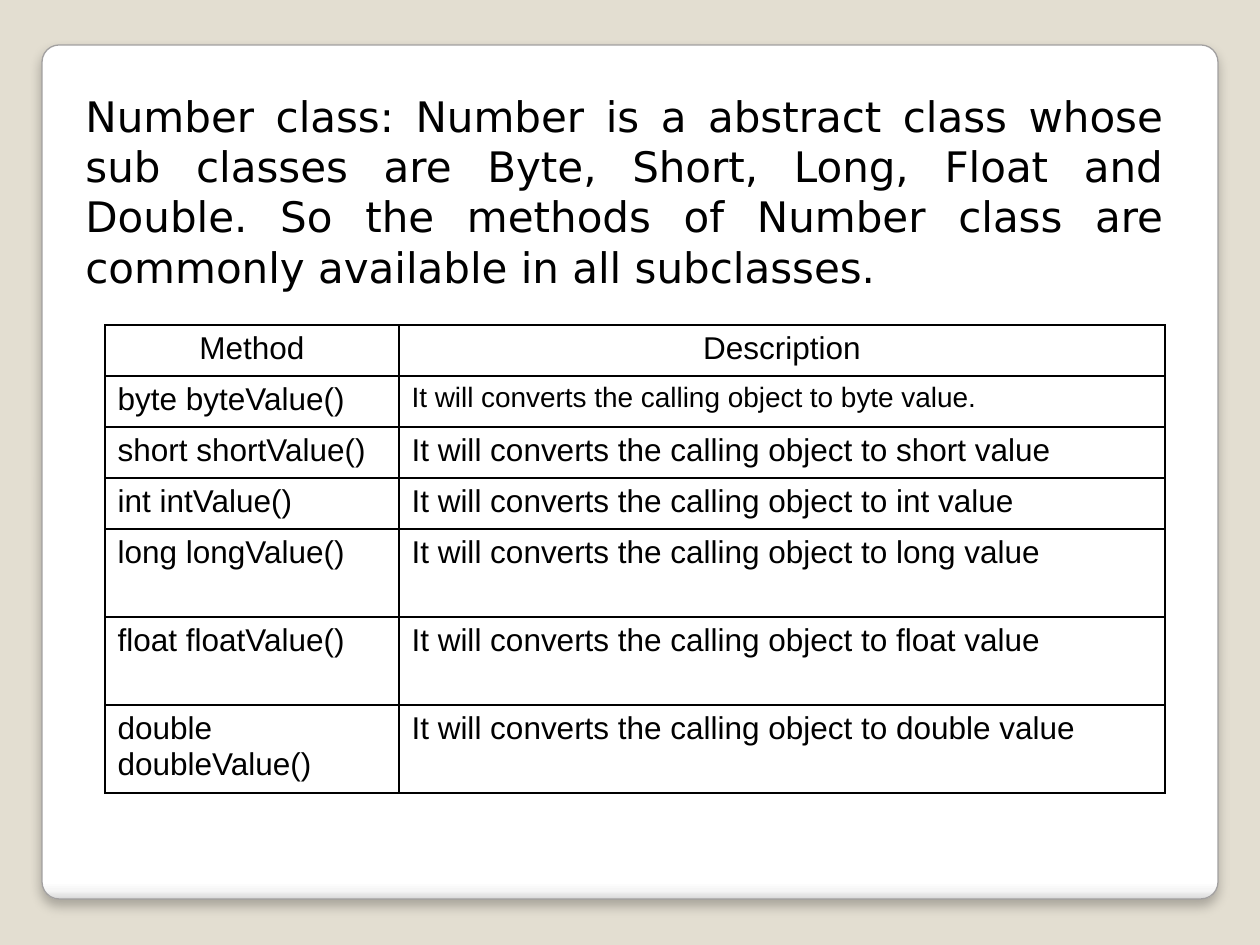
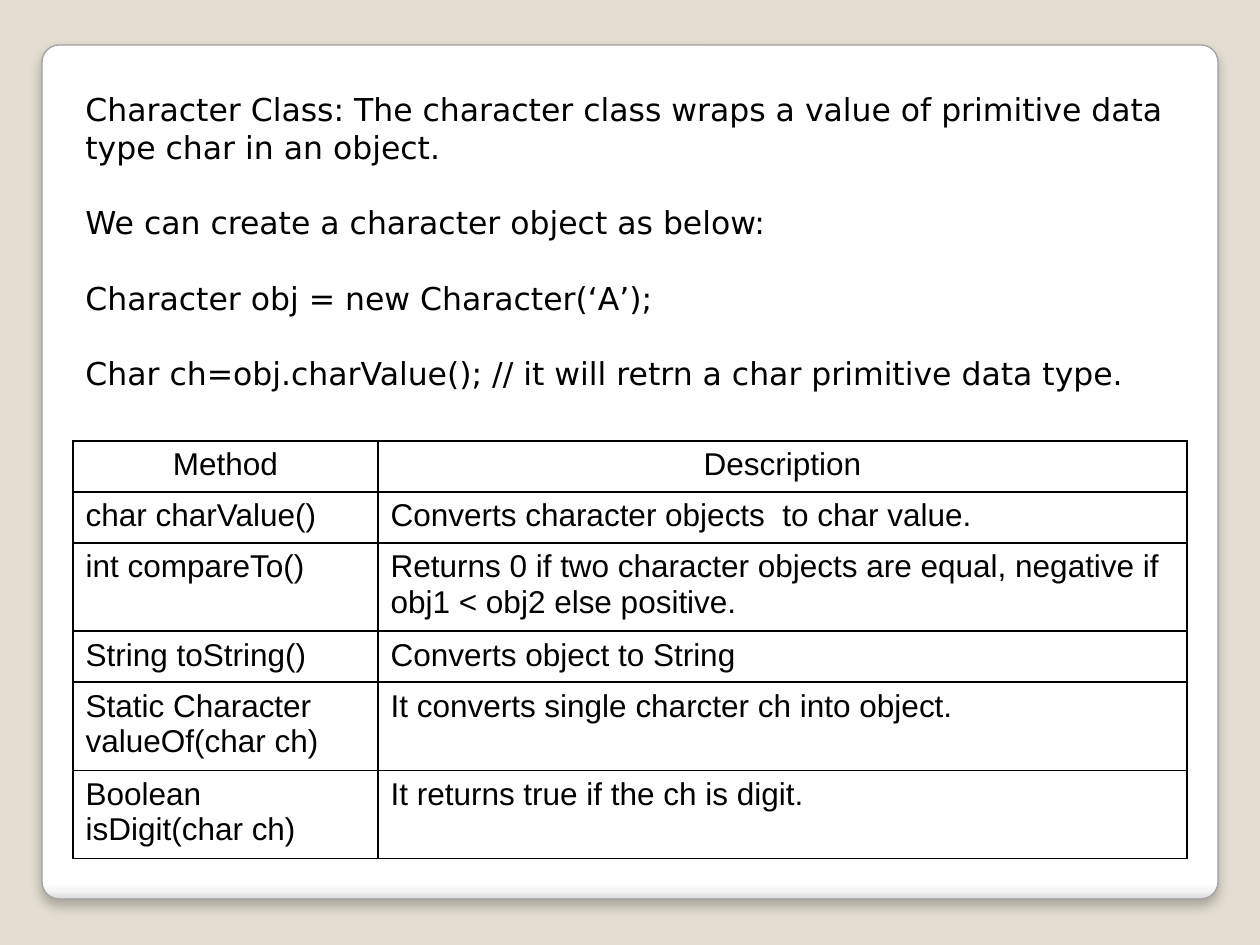
from lxml.etree import SubElement
from pptx import Presentation
from pptx.dml.color import RGBColor
from pptx.enum.shapes import MSO_SHAPE
from pptx.enum.text import PP_ALIGN
from pptx.oxml import parse_xml
from pptx.oxml.ns import nsdecls, qn
from pptx.util import Emu, Pt

PIXELS_PER_INCH = 126
COLORS = {
    "background": "E3DED1",
    "panel": "FFFFFF",
    "panel_shade": "F6F6F6",
    "panel_edge": "D8D8D8",
    "panel_line": "A2A0A0",
    "ink": "000000",
}
PANEL_STOPS = [(0, "panel"), (98, "panel"), (99, "panel_shade"), (100, "panel_edge")]
PANEL_BOX = (42, 45, 1176, 854)
SINGLE_ROW, DOUBLE_ROW = 51, 88
INTRO_FONT = {"name": "DejaVu Sans"}
TABLE_FONT = {"name": "Arial", "size": Pt(18), "bold": False}
PLAIN_TABLE = {"first_row": False, "horz_banding": False}

NUMBER_SLIDE = {
    "intro": {
        "box": (73, 84, 1103, 217),
        "font": {"size": Pt(24)},
        "format": {"alignment": PP_ALIGN.JUSTIFY},
        "lines": [
            "Number class: Number is a abstract class whose sub classes are Byte, Short, "
            "Long, Float and Double. So the methods of Number class are commonly "
            "available in all subclasses.",
        ],
    },
    "methods": {
        "origin": (105, 325),
        "columns": (294, 766),
        "rows": [
            (SINGLE_ROW, "byte byteValue()", "It will converts the calling object to byte value."),
            (SINGLE_ROW, "short shortValue()", "It will converts the calling object to short value"),
            (SINGLE_ROW, "int intValue()", "It will converts the calling object to int value"),
            (DOUBLE_ROW, "long longValue()", "It will converts the calling object to long value"),
            (DOUBLE_ROW, "float floatValue()", "It will converts the calling object to float value"),
            (DOUBLE_ROW, "double doubleValue()", "It will converts the calling object to double value"),
        ],
        "sizes": {(1, 1): Pt(16)},
    },
}
CHARACTER_SLIDE = {
    "intro": {
        "box": (73, 84, 1113, 318),
        "font": {"size": Pt(18)},
        "format": {"alignment": PP_ALIGN.LEFT, "space_after": Pt(21.5)},
        "lines": [
            "Character Class: The character class wraps a value of primitive data type "
            "char in an object.",
            "We can create a character object as below:",
            "Character obj = new Character(‘A’);",
            "Char ch=obj.charValue(); // it will retrn a char primitive data type.",
        ],
    },
    "methods": {
        "origin": (73, 441),
        "columns": (305, 809),
        "rows": [
            (SINGLE_ROW, "char charValue()", "Converts character objects  to char value."),
            (DOUBLE_ROW, "int compareTo()",
             "Returns 0 if two character objects are equal, negative if obj1 < obj2 else positive."),
            (SINGLE_ROW, "String toString()", "Converts object to String"),
            (DOUBLE_ROW, "Static Character valueOf(char ch)",
             "It converts single charcter ch into object."),
            (DOUBLE_ROW, "Boolean isDigit(char ch)", "It returns true if the ch is digit."),
        ],
        "sizes": {},
    },
}


def px(length):
    return Emu(round(length * 914400 / PIXELS_PER_INCH))


def color(name):
    return RGBColor.from_string(COLORS[name])


def set_attributes(target, values):
    for name, value in values.items():
        setattr(target, name, value)


def write_paragraph(paragraph, text, font, paragraph_format):
    run = paragraph.add_run()
    run.text = text
    set_attributes(run.font, font)
    run.font.color.rgb = color("ink")
    set_attributes(paragraph, paragraph_format)


def add_panel(slide, box):
    panel = slide.shapes.add_shape(MSO_SHAPE.ROUNDED_RECTANGLE, *map(px, box))
    panel.adjustments[0] = 0.02
    panel.line.color.rgb = color("panel_line")
    panel.line.width = Pt(0.75)
    panel.shadow.inherit = False
    panel.fill.gradient()
    panel.fill.gradient_angle = 270
    properties = panel.element.spPr
    stops = properties.find(f"{qn('a:gradFill')}/{qn('a:gsLst')}")
    stops.clear()
    for position, name in PANEL_STOPS:
        stop = SubElement(stops, qn("a:gs"), pos=str(position * 1000))
        SubElement(stop, qn("a:srgbClr"), val=COLORS[name])
    shadow = SubElement(
        properties.find(qn("a:effectLst")), qn("a:outerShdw"),
        blurRad=str(Pt(6)), dist=str(Pt(4)), dir="5400000", algn="t", rotWithShape="0",
    )
    shade = SubElement(shadow, qn("a:srgbClr"), val=COLORS["ink"])
    SubElement(shade, qn("a:alpha"), val="25000")


def add_intro(slide, intro):
    frame = slide.shapes.add_textbox(*map(px, intro["box"])).text_frame
    frame.word_wrap = True
    for index, line in enumerate(intro["lines"]):
        paragraph = frame.add_paragraph() if index else frame.paragraphs[0]
        write_paragraph(paragraph, line, INTRO_FONT | intro["font"], intro["format"])


def add_borders(cell):
    properties = cell._tc.get_or_add_tcPr()
    for index, side in enumerate(("lnL", "lnR", "lnT", "lnB")):
        properties.insert(index, parse_xml(
            f'<a:{side} {nsdecls("a")} w="{Pt(1)}"><a:solidFill>'
            f'<a:srgbClr val="{COLORS["ink"]}"/></a:solidFill></a:{side}>'
        ))


def add_methods(slide, methods):
    left, top = methods["origin"]
    columns = methods["columns"]
    rows = [(SINGLE_ROW, "Method", "Description"), *methods["rows"]]
    height = sum(row[0] for row in rows)
    table = slide.shapes.add_table(
        len(rows), len(columns), px(left), px(top), px(sum(columns)), px(height)
    ).table
    set_attributes(table, PLAIN_TABLE)
    for column, width in zip(table.columns, columns):
        column.width = px(width)
    for row_index, (row_height, *texts) in enumerate(rows):
        table.rows[row_index].height = px(row_height)
        alignment = PP_ALIGN.LEFT if row_index else PP_ALIGN.CENTER
        for column_index, text in enumerate(texts):
            cell = table.cell(row_index, column_index)
            cell.fill.background()
            add_borders(cell)
            size = methods["sizes"].get((row_index, column_index), TABLE_FONT["size"])
            write_paragraph(
                cell.text_frame.paragraphs[0], text,
                TABLE_FONT | {"size": size}, {"alignment": alignment},
            )


def add_class_slide(presentation, content):
    slide = presentation.slides.add_slide(presentation.slide_layouts[6])
    add_panel(slide, PANEL_BOX)
    add_intro(slide, content["intro"])
    add_methods(slide, content["methods"])


def main():
    presentation = Presentation()
    set_attributes(presentation, {"slide_width": px(1260), "slide_height": px(945)})
    background = presentation.slide_master.background.fill
    background.solid()
    background.fore_color.rgb = color("background")
    for content in (NUMBER_SLIDE, CHARACTER_SLIDE):
        add_class_slide(presentation, content)
    presentation.save("out.pptx")


if __name__ == "__main__":
    main()
